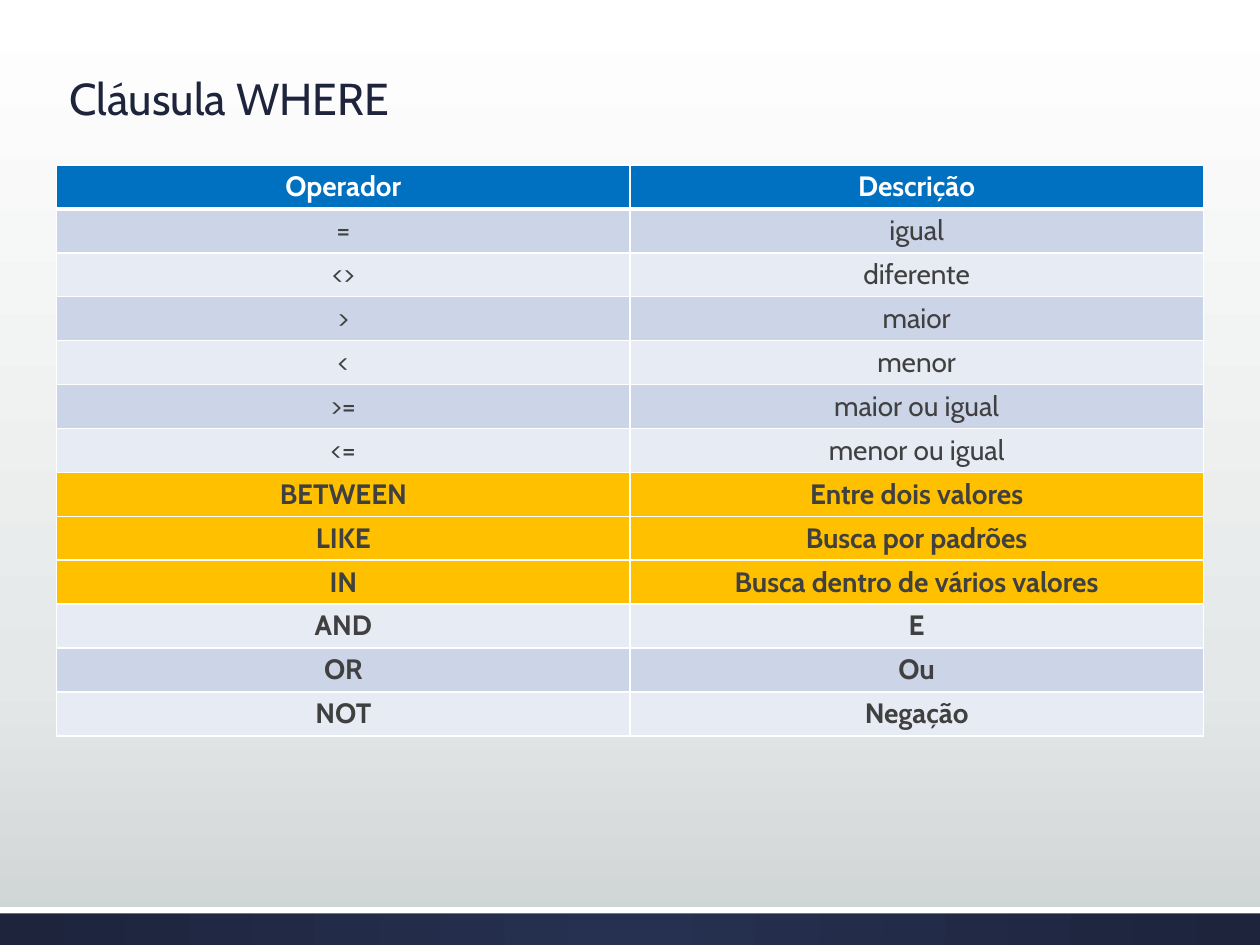
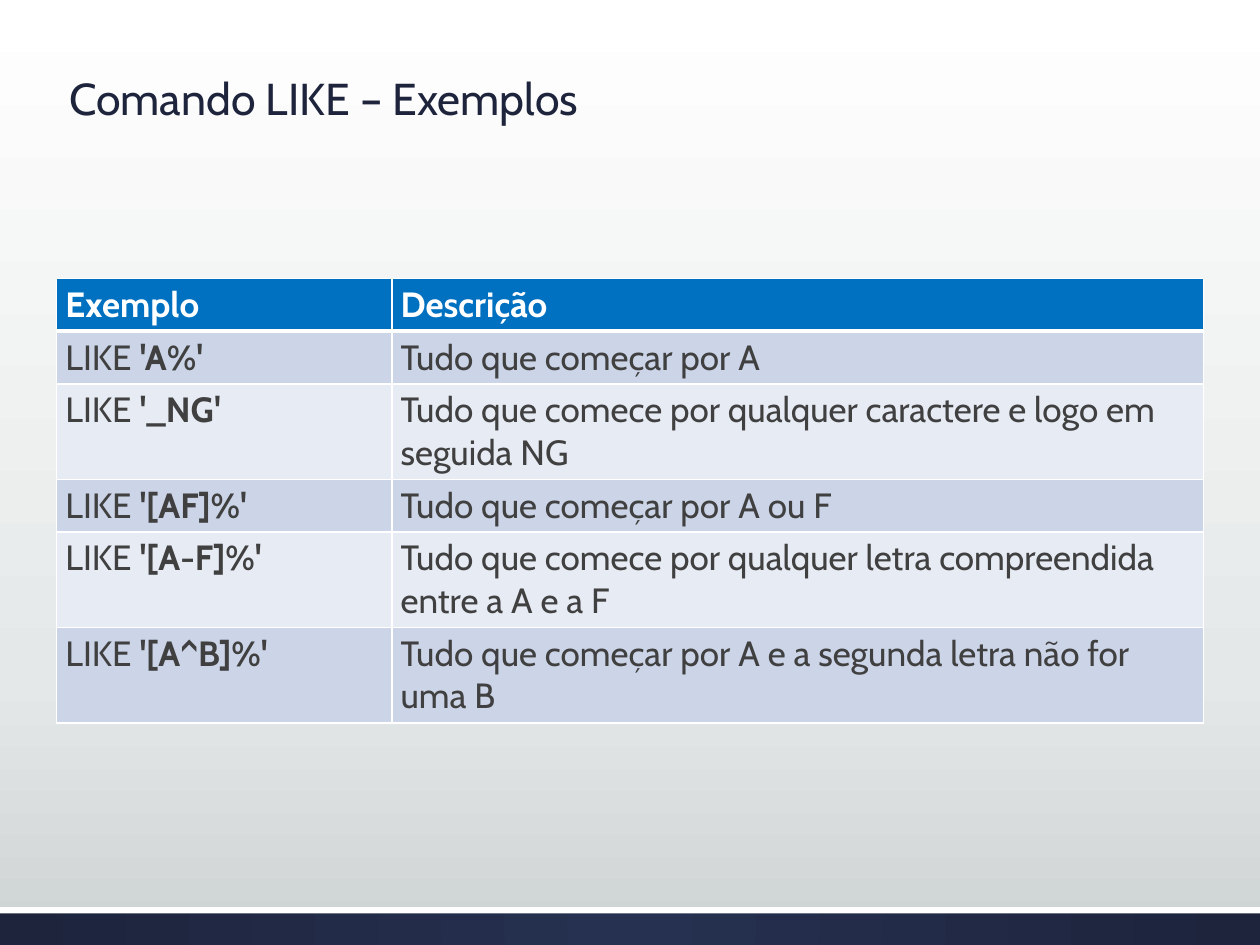
from pptx import Presentation
from pptx.dml.color import RGBColor
from pptx.enum.shapes import MSO_SHAPE
from pptx.enum.text import MSO_ANCHOR, MSO_AUTO_SIZE, PP_ALIGN
from pptx.oxml import parse_xml
from pptx.oxml.ns import nsdecls
from pptx.util import Inches, Pt

RECTANGLE = MSO_SHAPE.RECTANGLE
MIDDLE = MSO_ANCHOR.MIDDLE
NO_AUTOFIT = MSO_AUTO_SIZE.NONE
LEFT, CENTER = PP_ALIGN.LEFT, PP_ALIGN.CENTER

COLORS = {
    "white": "FFFFFF", "haze": "E5E8E8", "mist": "CDD2D2",
    "navy": "1D243C", "indigo": "263050", "header": "0070C0",
    "odd": "CCD5E8", "even": "E7EBF4", "highlight": "FFC000", "text": "404040",
}
FONT = "Cabin"
TITLE_ONLY = 5
COLUMNS, ROWS = 200, 150
MARGIN, CONTENT = 9, 182
VERTICAL = '<a:lin ang="5400000" scaled="0"/>'
RADIAL = '<a:path path="circle"><a:fillToRect l="50000" t="50000" r="50000" b="50000"/></a:path>'

OPERATORS = [
    ("Operador", "Descrição"),
    ("=", "igual"),
    ("<>", "diferente"),
    (">", "maior"),
    ("<", "menor"),
    (">=", "maior ou igual"),
    ("<=", "menor ou igual"),
    ("BETWEEN", "Entre dois valores"),
    ("LIKE", "Busca por padrões"),
    ("IN", "Busca dentro de vários valores"),
    ("AND", "E"),
    ("OR", "Ou"),
    ("NOT", "Negação"),
]
EXAMPLES = [
    ("Exemplo", "Descrição"),
    ("LIKE **'A%'", "Tudo que começar por A"),
    ("LIKE **'_NG'", "Tudo que comece por qualquer caractere e logo em seguida NG"),
    ("LIKE **'[AF]%'", "Tudo que começar por A ou F"),
    ("LIKE **'[A-F]%'", "Tudo que comece por qualquer letra compreendida entre a A e a F"),
    ("LIKE **'[A^B]%'", "Tudo que começar por A e a segunda letra não for uma B"),
]


def apply(target, values):
    """Set each named attribute on the target."""
    for name, value in values.items():
        setattr(target, name, value)


def paint(fill, color):
    """Make the fill solid in a named colour."""
    fill.solid()
    fill.fore_color.rgb = RGBColor.from_string(COLORS[color])


def gradient(owner, stops, direction):
    """Replace the owner's solid fill by a gradient of (percent, colour) stops."""
    marks = "".join(
        f'<a:gs pos="{percent * 1000}"><a:srgbClr val="{COLORS[color]}"/></a:gs>'
        for percent, color in stops
    )
    solid = next(owner.iter("{*}solidFill"))
    solid.getparent().replace(solid, parse_xml(
        f'<a:gradFill {nsdecls("a")} rotWithShape="1"><a:gsLst>{marks}</a:gsLst>{direction}</a:gradFill>'
    ))


class Deck:
    """Presentation style and the slide being built."""

    def __init__(self):
        """Set the slide size and the shared background."""
        self.presentation = Presentation()
        apply(self.presentation, {"slide_width": Inches(10), "slide_height": Inches(7.5)})
        self.slide = None
        master = self.presentation.slide_master
        paint(master.background.fill, "white")
        gradient(master.element.cSld.bg, [(0, "white"), (72, "haze"), (100, "mist")], VERTICAL)

    def x(self, columns):
        """Convert grid columns to a length."""
        return round(self.presentation.slide_width * columns / COLUMNS)

    def y(self, rows):
        """Convert grid rows to a length."""
        return round(self.presentation.slide_height * rows / ROWS)

    def new_slide(self, title):
        """Start a slide with its title and footer bands."""
        layout = self.presentation.slide_layouts[TITLE_ONLY]
        self.slide = self.presentation.slides.add_slide(layout)
        footer = self.band(144, 6, "navy")
        gradient(footer.element.spPr, [(0, "indigo"), (100, "navy")], RADIAL)
        self.band(144, 1, "white")
        self.title(title)

    def band(self, top, height, color):
        """Draw a full-width strip."""
        shape = self.slide.shapes.add_shape(RECTANGLE, 0, self.y(top), self.x(COLUMNS), self.y(height))
        shape.shadow.inherit = False
        shape.line.fill.background()
        paint(shape.fill, color)
        return shape

    def title(self, text):
        """Place and format the title placeholder."""
        shape = self.slide.shapes.title
        apply(shape, {"left": self.x(MARGIN), "top": self.y(2.6),
                      "width": self.x(CONTENT), "height": self.y(27)})
        apply(shape.text_frame, {"vertical_anchor": MIDDLE, "auto_size": NO_AUTOFIT, "word_wrap": True})
        paragraph = shape.text_frame.paragraphs[0]
        apply(paragraph, {"alignment": LEFT, "line_spacing": 0.9})
        self.run(paragraph, text, 25.5, "navy")

    def run(self, paragraph, text, size, color, bold=False):
        """Add formatted text to a paragraph."""
        run = paragraph.add_run()
        run.text = text
        apply(run.font, {"name": FONT, "size": Pt(size), "bold": bold})
        run.font.color.rgb = RGBColor.from_string(COLORS[color])

    def borders(self, cell, top, bottom):
        """Draw white cell borders with the given top and bottom widths."""
        properties = cell._tc.get_or_add_tcPr()
        widths = {"lnL": 1, "lnR": 1, "lnT": top, "lnB": bottom}
        for index, (side, width) in enumerate(widths.items()):
            properties.insert(index, parse_xml(
                f'<a:{side} {nsdecls("a")} w="{Pt(width)}"><a:solidFill>'
                f'<a:srgbClr val="{COLORS["white"]}"/></a:solidFill></a:{side}>'
            ))

    def table(self, entries, top, widths, heights, size, alignment, highlighted=(), bold_from=None):
        """Draw a banded table; text after ** in a cell is bold."""
        frame = self.slide.shapes.add_table(
            len(entries), len(widths), self.x(MARGIN), self.y(top),
            self.x(sum(widths)), self.y(sum(heights)),
        )
        table = frame.table
        apply(table, {"first_row": False, "horz_banding": False})
        for column, width in zip(table.columns, widths):
            column.width = self.x(width)
        for row_index, (row, height, texts) in enumerate(zip(table.rows, heights, entries)):
            row.height = self.y(height)
            header = row_index == 0
            fill = "header" if header else "odd" if row_index % 2 else "even"
            if row_index in highlighted:
                fill = "highlight"
            strong = header or (bold_from is not None and row_index >= bold_from)
            for cell, text in zip(row.cells, texts):
                self.borders(cell, 3 if row_index == 1 else 1, 3 if header else 1)
                paint(cell.fill, fill)
                apply(cell, {"margin_left": Inches(0.07), "margin_right": Inches(0.07),
                             "margin_top": Inches(0.04), "margin_bottom": Inches(0.04)})
                paragraph = cell.text_frame.paragraphs[0]
                paragraph.alignment = alignment
                for part, piece in enumerate(text.split("**")):
                    self.run(paragraph, piece, size, "white" if header else "text", strong or part == 1)


def main():
    """Build both slides and save the presentation."""
    deck = Deck()
    deck.new_slide("Cláusula WHERE")
    deck.table(OPERATORS, 26.2, [CONTENT / 2] * 2, [6.8] * len(OPERATORS), 16, CENTER,
               highlighted=range(7, 10), bold_from=7)
    deck.new_slide("Comando LIKE – Exemplos")
    deck.table(EXAMPLES, 44.2, [53.2, CONTENT - 53.2], [8.2, 8.2, 15, 8.2, 15, 15], 20, LEFT)
    deck.presentation.save("out.pptx")


if __name__ == "__main__":
    main()
